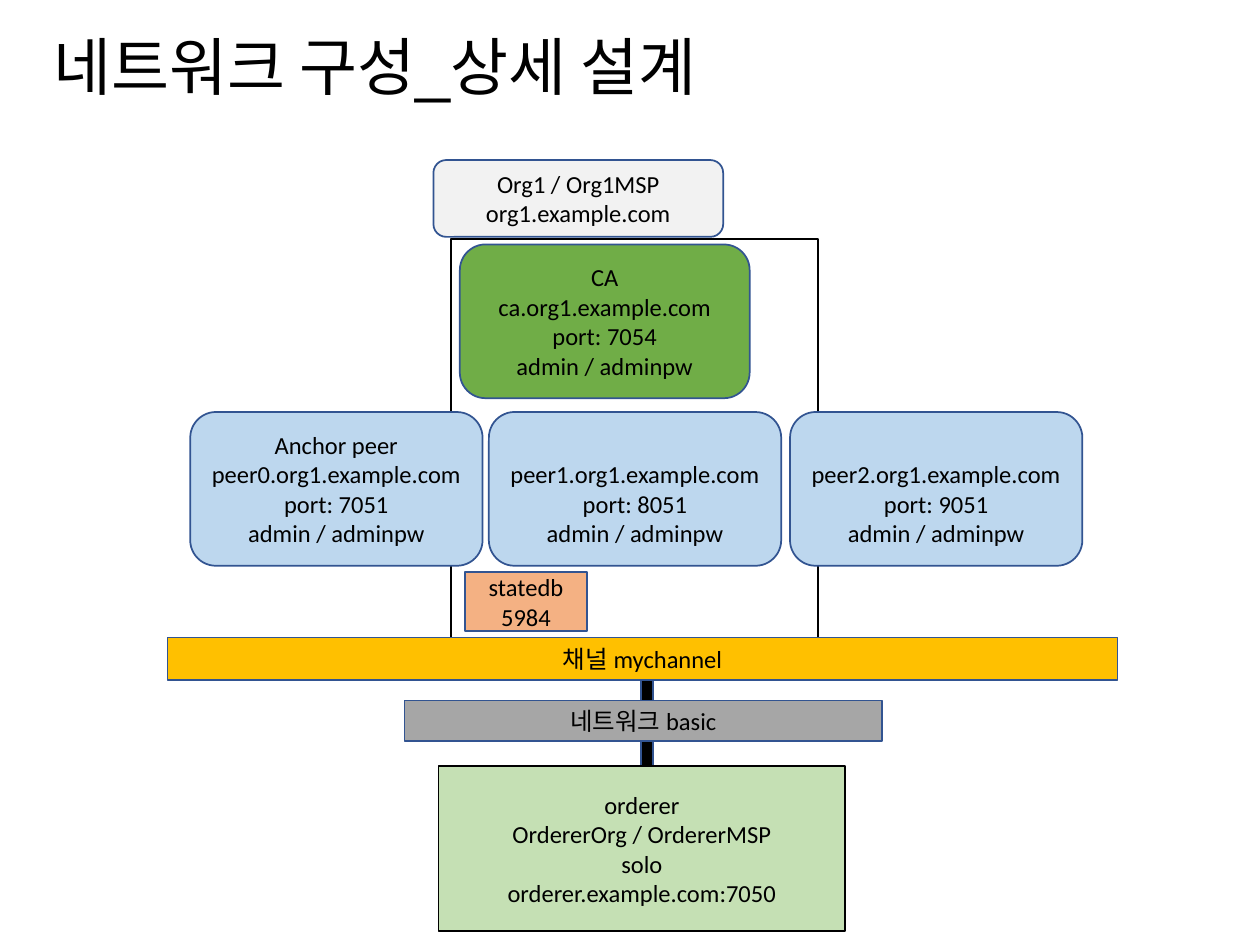
import pptx
import pptx.util
import pptx.dml.color
import pptx.enum.shapes
import pptx.enum.text

Inches = pptx.util.Inches
RECT = pptx.enum.shapes.MSO_SHAPE.RECTANGLE
ROUND = pptx.enum.shapes.MSO_SHAPE.ROUNDED_RECTANGLE
ALIGN = pptx.enum.text.PP_ALIGN
BLACK, EDGE, PEER_BLUE = "000000", "325491", "BDD7EE"


def paint(color_format, hex_color):
    """Set a colour from a hex string."""
    color_format.rgb = pptx.dml.color.RGBColor.from_string(hex_color)


def write(frame, text, size=14, font="Calibri", color=BLACK,
          align=ALIGN.CENTER, spacing=None, top=0.05):
    """Fill a frame; newline starts a paragraph, vertical tab breaks a line."""
    frame.word_wrap = True
    frame.vertical_anchor = pptx.enum.text.MSO_ANCHOR.MIDDLE
    frame.margin_left = frame.margin_right = Inches(0.1)
    frame.margin_top, frame.margin_bottom = Inches(top), Inches(0.05)
    frame.text = text
    for paragraph in frame.paragraphs:
        paragraph.alignment = align
        if spacing:
            paragraph.line_spacing = spacing
        for run in paragraph.runs:
            run.font.size = pptx.util.Pt(size)
            run.font.name = font
            paint(run.font.color, color)


def node(slide, box, fill=None, text="", kind=RECT, line=EDGE, **text_format):
    """Draw one outlined box, filled and labelled when asked."""
    shape = slide.shapes.add_shape(kind, *map(Inches, box))
    shape.shadow.inherit = False
    if fill:
        shape.fill.solid()
        paint(shape.fill.fore_color, fill)
    else:
        shape.fill.background()
    paint(shape.line.color, line)
    shape.line.width = pptx.util.Pt(1)
    if text:
        write(shape.text_frame, text, **text_format)


def title(slide, box):
    """Place the slide title."""
    heading = slide.shapes.add_textbox(*map(Inches, box))
    write(heading.text_frame, "네트워크 구성_상세 설계", size=36, font="Arial",
          align=ALIGN.LEFT, spacing=0.9)


def backbone(slide, left, top):
    """Draw the channel, network and orderer with the lines joining them."""
    node(slide, (left + 3.76, top + 0.31, 0.09, 0.71), BLACK)
    node(slide, (left + 2.25, top - 3.16, 2.91, 3.17), line=BLACK)
    node(slide, (left, top, 7.54, 0.34), "FFC000", "채널 mychannel")
    node(slide, (left + 1.88, top + 0.5, 3.79, 0.32), "A6A6A6", "네트워크 basic")
    node(slide, (left + 2.15, top + 1.02, 3.23, 1.31), "C5E0B4",
         "orderer\nOrdererOrg / OrdererMSP\nsolo\norderer.example.com:7050",
         line=BLACK)


def peer(slide, left, top, number, role=""):
    """Draw one peer; without a role its first line stays free."""
    address = f"peer{number}.org1.example.com"
    lines = [address, f"port: {7051 + 1000 * number}", "admin / adminpw"]
    if role:
        lines.insert(0, role)
    node(slide, (left, top, 2.32, 1.22), PEER_BLUE, "\v".join(lines), ROUND,
         top=0.05 if role else 0.28)


def organization(slide, left, top):
    """Draw the organization, its CA, its peers and the state database."""
    node(slide, (left + 2.14, top + 0.67, 2.3, 1.22), "70AD47",
         "CA\vca.org1.example.com\vport: 7054\vadmin / adminpw", ROUND)
    node(slide, (left + 1.93, top, 2.3, 0.61), "F2F2F2",
         "Org1 / Org1MSP\norg1.example.com", ROUND)
    node(slide, (left + 2.18, top + 3.27, 0.97, 0.47), "F4B183",
         "statedb\v5984")
    for number, (offset, role) in enumerate(
            [(0, "Anchor peer"), (2.37, ""), (4.76, "")]):
        peer(slide, left + offset, top + 2, number, role)


deck = pptx.Presentation()
deck.slide_width, deck.slide_height = Inches(10), Inches(7.5)
network_slide = deck.slides.add_slide(deck.slide_layouts[6])
backbone(network_slide, 1.33, 5.06)
organization(network_slide, 1.51, 1.27)
title(network_slide, (0.33, 0.15, 9.17, 0.81))
deck.save("out.pptx")
